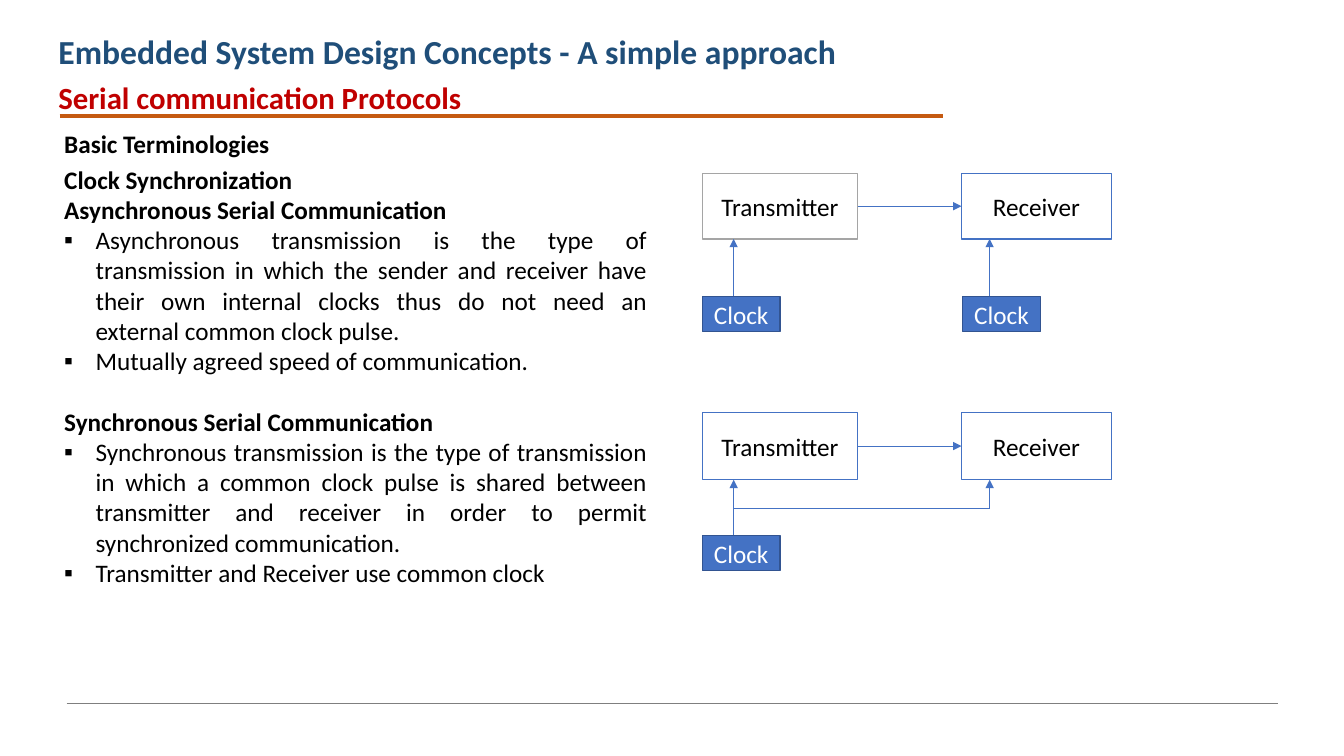
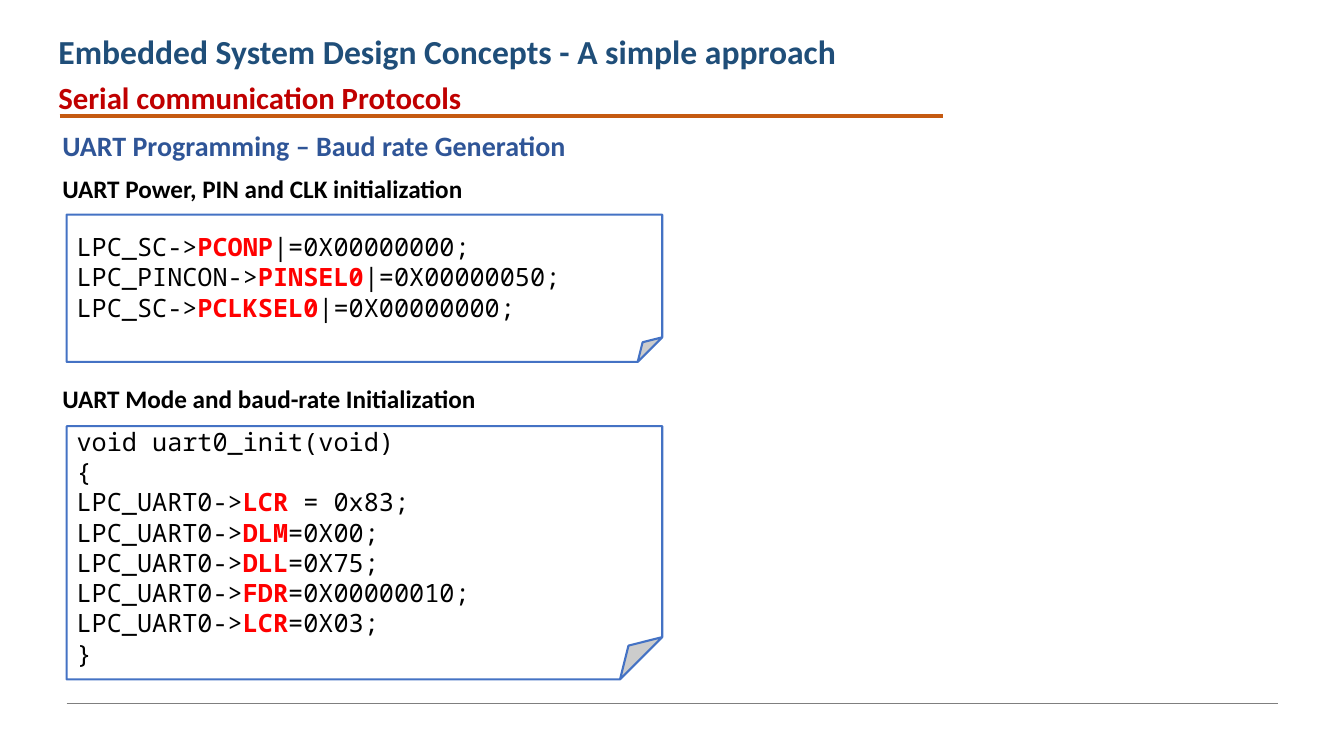
from dataclasses import dataclass

from lxml.etree import SubElement
from pptx import Presentation
from pptx.dml.color import RGBColor
from pptx.enum.shapes import MSO_CONNECTOR as Connector, MSO_SHAPE as Shape
from pptx.enum.text import MSO_ANCHOR as Anchor, MSO_AUTO_SIZE as AutoSize, PP_ALIGN as Align
from pptx.oxml.ns import qn
from pptx.util import Cm, Pt


@dataclass(frozen=True)
class Theme:
    font: str = "Calibri"
    code_font: str = "Noto Sans Mono"
    title: str = "1F4E79"
    subtitle: str = "C00000"
    heading: str = "2F5597"
    text: str = "000000"
    paper: str = "FFFFFF"
    register: str = "FF0000"
    accent: str = "4472C4"
    clock_edge: str = "325491"
    muted_edge: str = "A5A5A5"
    band: str = "C55A11"
    footer: str = "7F7F7F"
    title_size: int = 24
    subtitle_size: int = 22
    heading_size: int = 20
    body_size: int = 18


def rgb(value):
    return RGBColor.from_string(value)


class Lesson:
    """Holds the deck, its style and the current slide."""

    def __init__(self, theme):
        self.theme = theme
        self.deck = Presentation()
        self.deck.slide_width, self.deck.slide_height = Cm(33.87), Cm(19.05)
        self.page = None

    # Slide frame: title, subtitle, orange band and footer line
    def new_page(self, title, subtitle):
        theme = self.theme
        self.page = self.deck.slides.add_slide(self.deck.slide_layouts[5])
        box = self.page.shapes.title
        box.left, box.top, box.width, box.height = Cm(1.22), Cm(0.66), Cm(20.83), Cm(1.3)
        frame = box.text_frame
        frame.text = title
        frame.auto_size = AutoSize.NONE
        frame.vertical_anchor = Anchor.TOP
        frame.paragraphs[0].alignment = Align.LEFT
        self.style(frame.paragraphs[0].runs[0], theme.title_size, theme.title, True)
        self.label(subtitle, 1.22, 1.85, 21.54, theme.subtitle_size, theme.subtitle)
        self.line((1.5, 2.92), (23.77, 2.92), theme.band, 3)
        self.line((1.68, 17.73), (32.21, 17.73), theme.footer, 0.5)

    # Text
    def style(self, span, size, color, bold=False, font=None):
        span.font.name = font or self.theme.font
        span.font.size = Pt(size)
        span.font.bold = bold
        span.font.color.rgb = rgb(color)

    def text_box(self, left, top, width, height):
        box = self.page.shapes.add_textbox(Cm(left), Cm(top), Cm(width), Cm(height))
        box.text_frame.word_wrap = True
        return box.text_frame

    def label(self, text, left, top, width, size, color):
        frame = self.text_box(left, top, width, 1.1)
        frame.text = text
        self.style(frame.paragraphs[0].runs[0], size, color, True)

    def bullet(self, para):
        para.alignment = Align.JUSTIFY
        props = para._p.get_or_add_pPr()
        props.set("marL", str(Cm(0.79)))
        props.set("indent", str(-Cm(0.79)))
        SubElement(props, qn("a:buFont"), typeface="Arial")
        SubElement(props, qn("a:buChar"), char="▪")

    def body_text(self, sections, left, top, width, height):
        frame = self.text_box(left, top, width, height)
        lines = [(text, number, level)
                 for number, (headings, points) in enumerate(sections)
                 for level, texts in enumerate((headings, points))
                 for text in texts]
        frame.text = "\n".join(text for text, _, _ in lines)
        previous = 0
        for para, (_, number, level) in zip(frame.paragraphs, lines):
            if number != previous:
                para.space_before = Pt(21.6)
                previous = number
            if level:
                self.bullet(para)
            self.style(para.runs[0], self.theme.body_size, self.theme.text, not level)

    # Shapes and lines
    def block(self, kind, left, top, width, height, fill, edge, weight=1):
        shape = self.page.shapes.add_shape(kind, Cm(left), Cm(top), Cm(width), Cm(height))
        shape.shadow.inherit = False
        shape.fill.solid()
        shape.fill.fore_color.rgb = rgb(fill)
        shape.line.color.rgb = rgb(edge)
        shape.line.width = Pt(weight)
        return shape

    def node(self, text, left, top, width, height, fill, edge, color):
        shape = self.block(Shape.RECTANGLE, left, top, width, height, fill, edge)
        frame = shape.text_frame
        frame.text = text
        frame.vertical_anchor = Anchor.MIDDLE
        para = frame.paragraphs[0]
        para.alignment = Align.CENTER
        self.style(para.runs[0], self.theme.body_size, color)
        return shape

    def line(self, start, end, color, weight, arrow=False):
        points = [Cm(value) for value in (*start, *end)]
        line = self.page.shapes.add_connector(Connector.STRAIGHT, *points)
        line.line.color.rgb = rgb(color)
        line.line.width = Pt(weight)
        if arrow:
            SubElement(line.line._get_or_add_ln(), qn("a:tailEnd"), type="triangle")
        SubElement(line._element.spPr, qn("a:effectLst"))
        return line

    def wire(self, start, end, arrow=True):
        return self.line(start, end, self.theme.accent, 0.5, arrow)

    # Transmitter and receiver with one or two clocks
    def link_diagram(self, top, height, shared_clock, sender_edge):
        theme = self.theme
        left, right = 17.7, 24.23
        left_wire, right_wire = 18.49, 24.94
        bottom, clock_top, bus = top + height, top + 3.1, top + 2.41
        sender = self.node("Transmitter", left, top, 3.91, height,
                           theme.paper, sender_edge, theme.text)
        receiver = self.node("Receiver", right, top, 3.78, height,
                             theme.paper, theme.accent, theme.text)
        middle = top + height / 2
        data = self.wire((left + 3.91, middle), (right, middle))
        data.begin_connect(sender, 3)
        data.end_connect(receiver, 1)
        for clock_left in [left] if shared_clock else [left, right + 0.03]:
            self.node("Clock", clock_left, clock_top, 1.96, 0.89,
                      theme.accent, theme.clock_edge, theme.paper)
        self.wire((left_wire, clock_top), (left_wire, bottom))
        self.wire((right_wire, bus if shared_clock else clock_top), (right_wire, bottom))
        if shared_clock:
            self.wire((left_wire, bus), (right_wire, bus), arrow=False)

    # Code on a folded sheet; the second part of a line is the register
    def code_sheet(self, lines, top, height, inset):
        theme = self.theme
        sheet = self.block(Shape.FOLDED_CORNER, 1.68, top, 15.01, height,
                           theme.paper, theme.accent, 1.5)
        frame = sheet.text_frame
        frame.vertical_anchor = Anchor.TOP
        frame.margin_top, frame.margin_bottom = Cm(inset), 0
        for number, parts in enumerate(lines):
            para = frame.add_paragraph() if number else frame.paragraphs[0]
            para.alignment = Align.LEFT
            for position, part in enumerate(parts):
                span = para.add_run()
                span.text = part
                is_register = position == 1
                self.style(span, theme.body_size,
                           theme.register if is_register else theme.text,
                           is_register, theme.code_font)


TITLE = "Embedded System Design Concepts - A simple approach"
SUBTITLE = "Serial communication Protocols"

SECTIONS = [
    (["Clock Synchronization", "Asynchronous Serial Communication"],
     ["Asynchronous transmission is the type of transmission in which the sender and "
      "receiver have their own internal clocks thus do not need an external common "
      "clock pulse.",
      "Mutually agreed speed of communication."]),
    (["Synchronous Serial Communication"],
     ["Synchronous transmission is the type of transmission in which a common clock "
      "pulse is shared between transmitter and receiver in order to permit "
      "synchronized communication.",
      "Transmitter and Receiver use common clock"]),
]

POWER_CODE = [
    ("LPC_SC->", "PCONP", "|=0X00000000;"),
    ("LPC_PINCON->", "PINSEL0", "|=0X00000050;"),
    ("LPC_SC->", "PCLKSEL0", "|=0X00000000;"),
]

BAUD_SETTINGS = [("LCR ", "= 0x83;"), ("DLM", "=0X00;"), ("DLL", "=0X75;"),
                 ("FDR", "=0X00000010;"), ("LCR", "=0X03;")]
BAUD_CODE = [("void uart0_init(void)",), ("{",),
             *(("LPC_UART0->", *setting) for setting in BAUD_SETTINGS), ("}",)]


def main():
    theme = Theme()
    lesson = Lesson(theme)

    # Clock synchronization
    lesson.new_page(TITLE, SUBTITLE)
    lesson.label("Basic Terminologies", 1.37, 3.12, 22.45, theme.body_size, theme.text)
    lesson.body_text(SECTIONS, 1.37, 4.01, 15.19, 11.02)
    lesson.link_diagram(4.37, 1.65, False, theme.muted_edge)
    lesson.link_diagram(10.39, 1.7, True, theme.accent)

    # Baud rate generation
    lesson.new_page(TITLE, SUBTITLE)
    lesson.label("UART Programming – Baud rate Generation", 1.32, 3.12, 22.45,
                 theme.heading_size, theme.heading)
    lesson.label("UART Power, PIN and CLK initialization", 1.32, 4.24, 17.17,
                 theme.body_size, theme.text)
    lesson.code_sheet(POWER_CODE, 5.41, 3.71, 0.42)
    lesson.label("UART Mode and baud-rate Initialization", 1.32, 9.53, 17.17,
                 theme.body_size, theme.text)
    lesson.code_sheet(BAUD_CODE, 10.74, 6.38, 0)

    lesson.deck.save("out.pptx")


if __name__ == "__main__":
    main()
